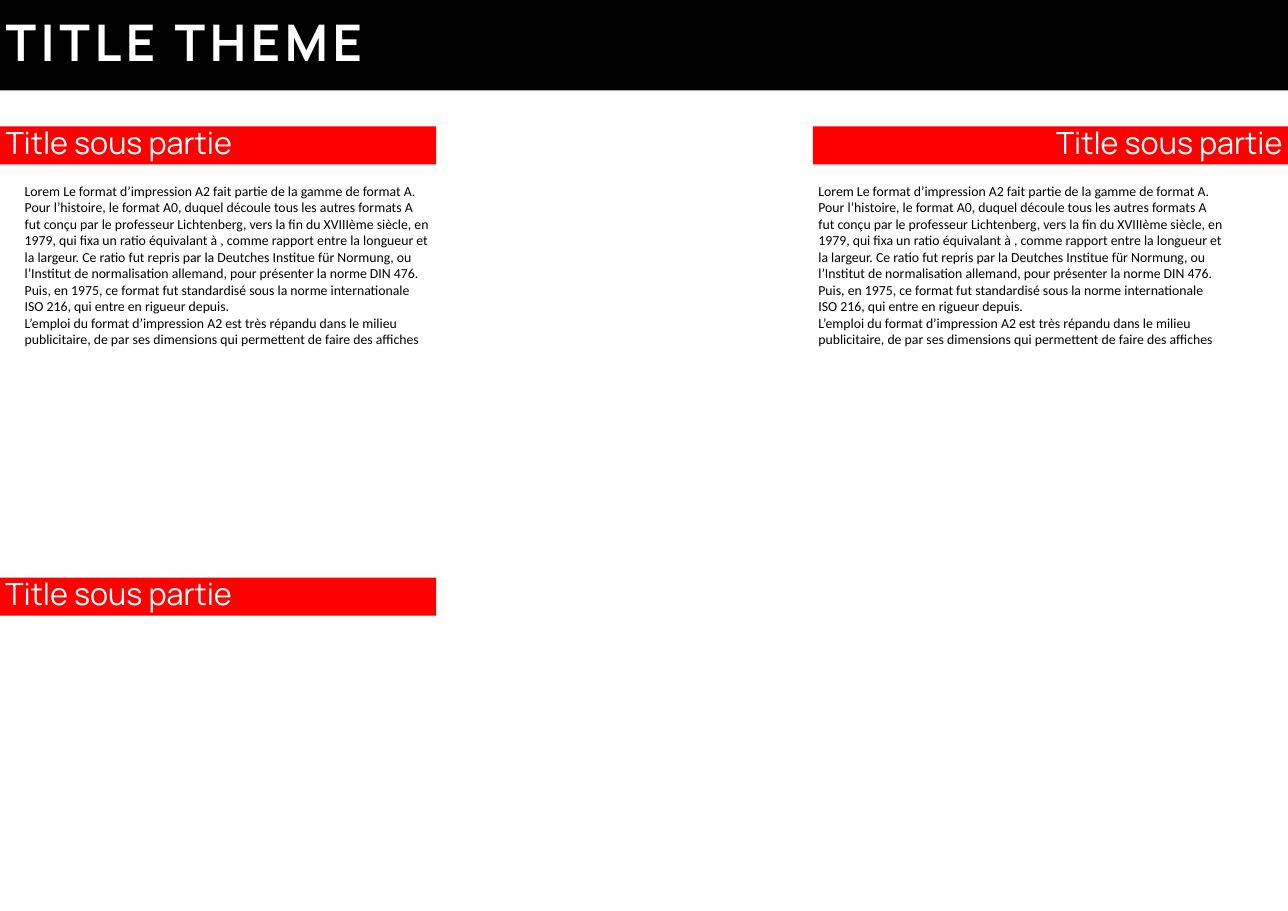
from pptx import Presentation
from pptx.dml.color import RGBColor
from pptx.enum.shapes import MSO_SHAPE
from pptx.enum.text import MSO_ANCHOR, MSO_AUTO_SIZE, PP_ALIGN
from pptx.util import Emu, Pt

EMU_PER_PX = 635  # 1440 px to the inch
WIDTH, HEIGHT = 33675, 23810  # A2 landscape

BLACK = RGBColor(0x00, 0x00, 0x00)
WHITE = RGBColor(0xFF, 0xFF, 0xFF)
RED = RGBColor(0xFF, 0x00, 0x00)

SECTION_TITLE = "Title sous partie"
BODY_PARAGRAPHS = [
    "Lorem Le format d’impression A2 fait partie de la gamme de format A. "
    "Pour l’histoire, le format A0, duquel découle tous les autres formats A "
    "fut conçu par le professeur Lichtenberg, vers la fin du XVIIIème siècle, "
    "en 1979, qui fixa un ratio équivalant à , comme rapport entre la longueur "
    "et la largeur. Ce ratio fut repris par la Deutches Institue für Normung, "
    "ou l’Institut de normalisation allemand, pour présenter la norme DIN 476. "
    "Puis, en 1975, ce format fut standardisé sous la norme internationale "
    "ISO 216, qui entre en rigueur depuis.",
    "L’emploi du format d’impression A2 est très répandu dans le milieu "
    "publicitaire, de par ses dimensions qui permettent de faire des affiches",
]


def px(*lengths):
    return [Emu(length * EMU_PER_PX) for length in lengths]


class Poster:
    heading_font = "Manrope"
    body_font = "Calibri"
    bar_height = 994

    def __init__(self, slide):
        self.slide = slide

    def style_bar(self, shape, box, fill, text, size, line_spacing, align):
        shape.left, shape.top, shape.width, shape.height = px(*box)
        shape.fill.solid()
        shape.fill.fore_color.rgb = fill
        shape.line.fill.background()
        frame = shape.text_frame
        frame.word_wrap = True
        frame.auto_size = MSO_AUTO_SIZE.NONE
        frame.vertical_anchor = MSO_ANCHOR.MIDDLE
        frame.text = text
        paragraph = frame.paragraphs[0]
        paragraph.alignment = align
        paragraph.line_spacing = line_spacing
        paragraph.font.name = self.heading_font
        paragraph.font.size = Pt(size)
        paragraph.font.color.rgb = WHITE
        return paragraph

    def title(self, text, box):
        paragraph = self.style_bar(self.slide.shapes.title, box, BLACK, text,
                                   66, 0.9, PP_ALIGN.LEFT)
        paragraph.font.bold = True
        # Letter spacing, in hundredths of a point
        paragraph.runs[0].font._element.set("spc", "600")

    def section_bar(self, left, top, width, align=PP_ALIGN.LEFT, shape=None):
        box = (left, top, width, self.bar_height)
        if shape is None:
            shape = self.slide.shapes.add_shape(MSO_SHAPE.RECTANGLE, *px(*box))
            shape.shadow.inherit = False
        paragraph = self.style_bar(shape, box, RED, SECTION_TITLE, 40, 0.8, align)
        paragraph.space_before = Pt(22.1)

    def body(self, box):
        frame = self.slide.shapes.add_textbox(*px(*box)).text_frame
        frame.word_wrap = True
        frame.auto_size = MSO_AUTO_SIZE.SHAPE_TO_FIT_TEXT
        frame.text = "\n".join(BODY_PARAGRAPHS)
        for paragraph in frame.paragraphs:
            paragraph.font.name = self.body_font
            paragraph.font.size = Pt(18)
            paragraph.font.color.rgb = BLACK


def main():
    presentation = Presentation()
    presentation.slide_width, presentation.slide_height = px(WIDTH, HEIGHT)
    slide = presentation.slides.add_slide(presentation.slide_layouts[0])
    poster = Poster(slide)
    right_column, left_bar_width = 21256, 11405
    upper_row, lower_row = 3303, 15097

    # Header
    poster.title("TITLE THEME", (0, 0, WIDTH, 2362))

    # Left column
    poster.section_bar(0, upper_row, left_bar_width, shape=slide.placeholders[1])
    poster.section_bar(0, lower_row, left_bar_width)

    # Body texts
    for left in (504, right_column):
        poster.body((left, 4694, 10901, 4507))

    # Right column, running to the slide's edge
    poster.section_bar(right_column, upper_row, WIDTH - right_column, PP_ALIGN.RIGHT)

    presentation.save("out.pptx")


if __name__ == "__main__":
    main()
